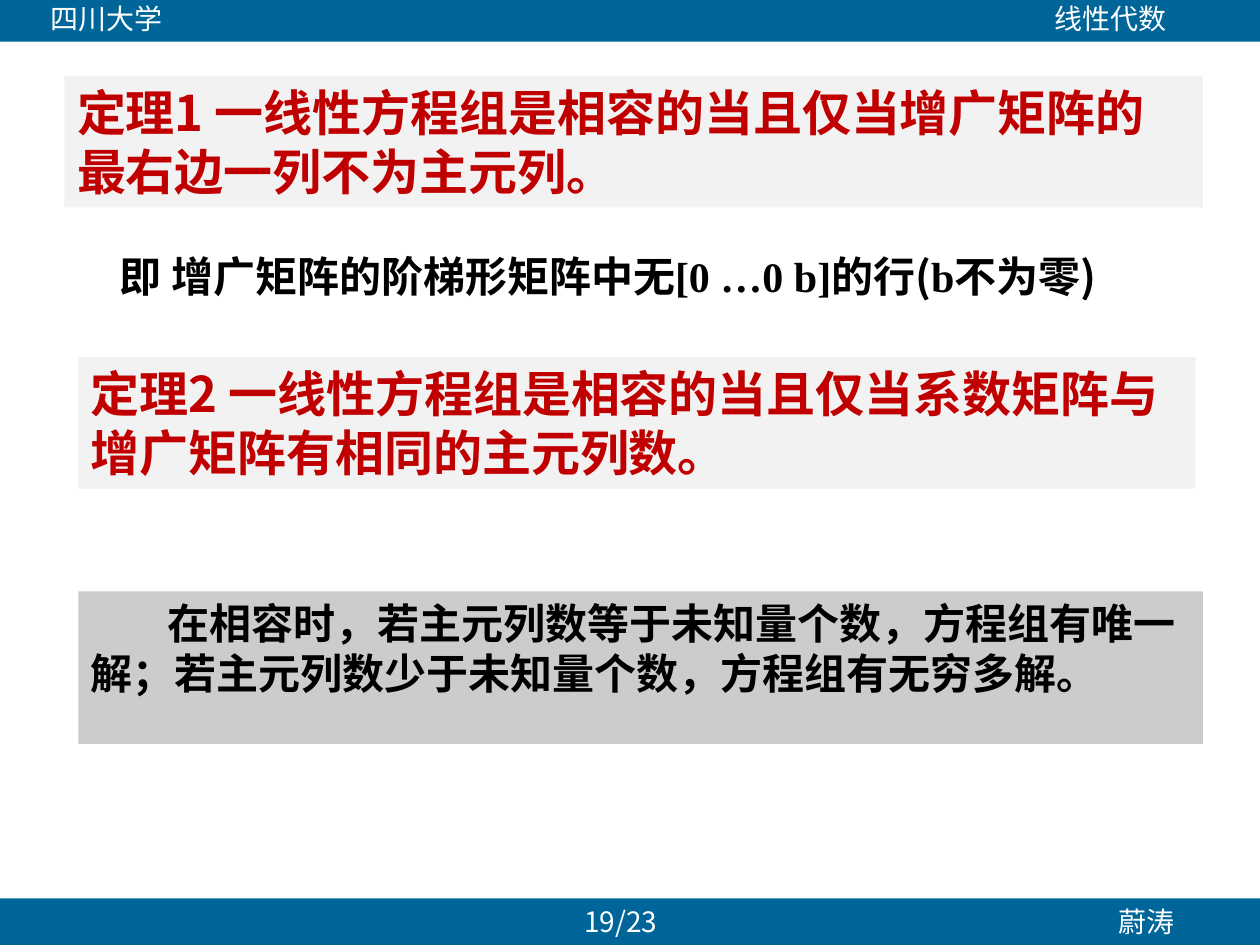
from dataclasses import dataclass

from lxml.etree import SubElement
from pptx import Presentation
from pptx.dml.color import RGBColor
from pptx.enum.shapes import MSO_SHAPE
from pptx.enum.text import MSO_ANCHOR as Anchor, MSO_AUTO_SIZE as AutoSize, PP_ALIGN as Align
from pptx.oxml.ns import qn
from pptx.util import Cm, Pt


@dataclass(frozen=True)
class Theme:
    bar: str = "006699"
    panel: str = "F2F2F2"
    summary: str = "CCCCCC"
    theorem: str = "C00000"
    ink: str = "000000"
    white: str = "FFFFFF"
    bar_font: str = "Noto Sans CJK JP"
    body_font: str = "Noto Sans CJK SC"
    math_font: str = "Times New Roman"
    bar_size: int = 16
    body_size: int = 24
    theorem_size: int = 28


THEME = Theme()
WIDTH, HEIGHT, BAR_HEIGHT = 25.4, 19.05, 0.94


def set_typeface(font, name):
    """Use one typeface for Latin and East Asian characters."""
    font.name = name
    SubElement(font._element, qn("a:ea"), typeface=name)


def style(para, name, size, color, bold=False, align=Align.LEFT):
    para.alignment = align
    font = para.font
    font.size, font.bold = Pt(size), bold
    font.color.rgb = RGBColor.from_string(color)
    set_typeface(font, name)


def fill_panel(shape, color):
    shape.fill.solid()
    shape.fill.fore_color.rgb = RGBColor.from_string(color)
    shape.line.fill.background()


def prepare_frame(shape, anchor=Anchor.TOP):
    frame = shape.text_frame
    frame.word_wrap = True
    frame.auto_size = AutoSize.NONE
    frame.vertical_anchor = anchor
    return frame


def add_panel(page, box, color):
    panel = page.shapes.add_shape(MSO_SHAPE.RECTANGLE, *map(Cm, box))
    panel.shadow.inherit = False
    fill_panel(panel, color)
    return panel


def add_bar(page, box, text, align, left=0, right=0, tab=None):
    frame = prepare_frame(add_panel(page, box, THEME.bar), Anchor.MIDDLE)
    frame.margin_left, frame.margin_right = Cm(left), Cm(right)
    para = frame.paragraphs[0]
    para.text = text
    if tab:
        stops = SubElement(para._p.get_or_add_pPr(), qn("a:tabLst"))
        SubElement(stops, qn("a:tab"), pos=str(Cm(tab)), algn="l")
    style(para, THEME.bar_font, THEME.bar_size, THEME.white, align=align)


def add_page_number(page, box, text):
    label = page.shapes.add_textbox(*map(Cm, box))
    para = prepare_frame(label, Anchor.MIDDLE).paragraphs[0]
    para.text = text
    style(para, THEME.bar_font, THEME.bar_size, THEME.white, align=Align.RIGHT)


def fill_theorem(shape, text):
    fill_panel(shape, THEME.panel)
    para = prepare_frame(shape).paragraphs[0]
    para.text = text
    style(para, THEME.body_font, THEME.theorem_size, THEME.theorem, bold=True)


def add_remark(page, box, parts):
    """Parts alternate between Chinese wording and mathematics."""
    remark = page.shapes.add_textbox(*map(Cm, box))
    para = prepare_frame(remark).paragraphs[0]
    style(para, THEME.body_font, THEME.body_size, THEME.ink, bold=True)
    for index, text in enumerate(parts):
        span = para.add_run()
        span.text = text
        set_typeface(span.font, THEME.math_font if index % 2 else THEME.body_font)


def add_summary(page, box, text):
    para = prepare_frame(add_panel(page, box, THEME.summary)).paragraphs[0]
    para.text = text
    para._p.get_or_add_pPr().set("indent", str(Cm(1.55)))
    style(para, THEME.body_font, THEME.body_size, THEME.ink, bold=True)


def build_page(deck):
    page = deck.slides.add_slide(deck.slide_layouts[5])

    # Header and footer bars
    add_bar(page, (0, -0.1, WIDTH, BAR_HEIGHT), "四川大学\t线性代数",
            Align.LEFT, left=1.02, tab=20.24)
    add_bar(page, (0, HEIGHT - BAR_HEIGHT, WIDTH, BAR_HEIGHT), "蔚涛",
            Align.RIGHT, right=1.73)
    add_page_number(page, (11.3, 18.06, 2.2, 1.02), "19/23")

    # First theorem, as the title of the page
    title = page.shapes.title
    title.left, title.top, title.width, title.height = map(Cm, (1.3, 1.53, 22.95, 2.65))
    fill_theorem(title, "定理1 一线性方程组是相容的当且仅当增广矩阵的最右边一列不为主元列。")
    add_remark(page, (2.16, 4.93, 20.45, 1.28),
               ["即 增广矩阵的阶梯形矩阵中无", "[0 …0 b]", "的行(", "b", "不为零)"])

    # Second theorem and what follows from both
    second = add_panel(page, (1.58, 7.2, 22.52, 2.65), THEME.panel)
    fill_theorem(second, "定理2 一线性方程组是相容的当且仅当系数矩阵与增广矩阵有相同的主元列数。")
    add_summary(page, (1.58, 11.92, 22.67, 3.08),
                "在相容时，若主元列数等于未知量个数，方程组有唯一解；"
                "若主元列数少于未知量个数，方程组有无穷多解。")


def main():
    deck = Presentation()
    deck.slide_width, deck.slide_height = Cm(WIDTH), Cm(HEIGHT)
    build_page(deck)
    deck.save("out.pptx")


if __name__ == "__main__":
    main()
